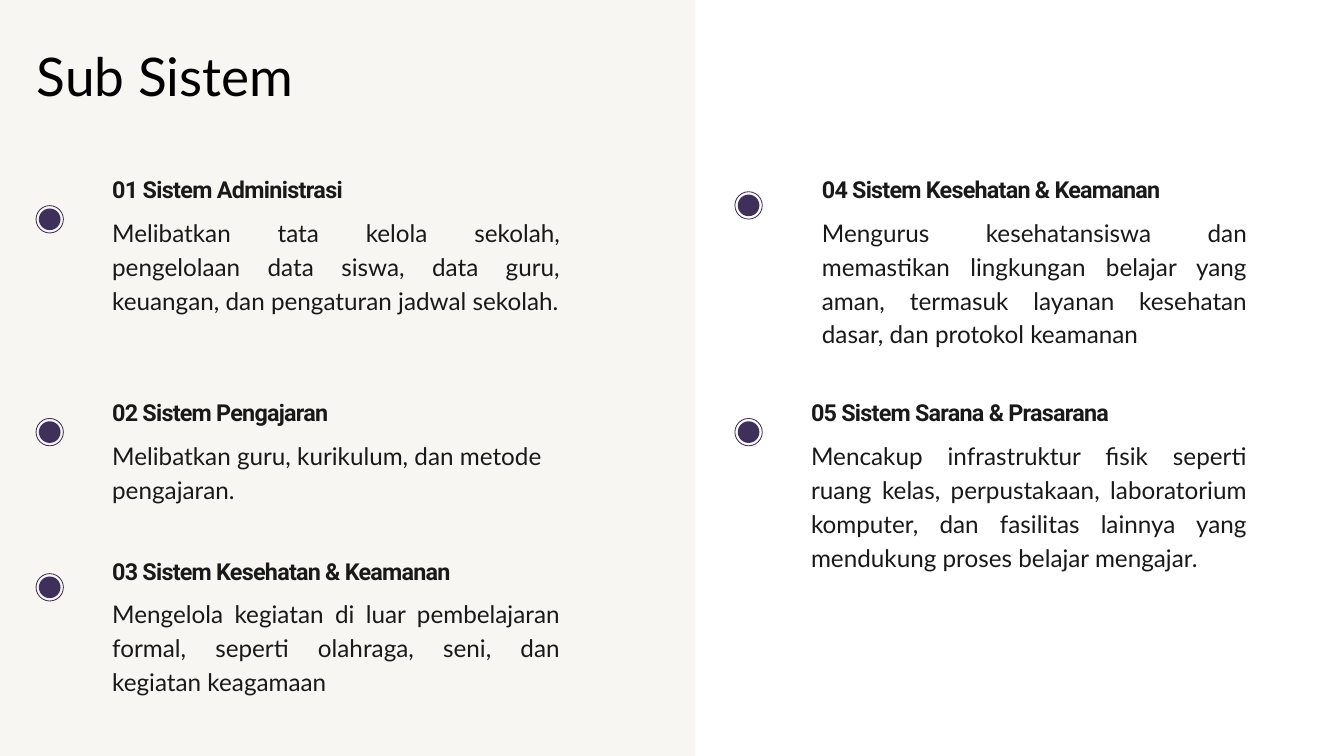
from typing import NamedTuple

from pptx import Presentation
from pptx.dml.color import RGBColor
from pptx.enum.shapes import MSO_SHAPE
from pptx.enum.text import MSO_ANCHOR, MSO_AUTO_SIZE, PP_ALIGN
from pptx.oxml.ns import qn
from pptx.util import Pt

COLORS = {"panel": "F8F6F3", "marker": "3E2F5B", "text": "191919", "title": "000000"}
SLIDE_W, SLIDE_H, PANEL_W = 1440, 810, 745.2
LEFT_DOT, RIGHT_DOT = 53.3, 802.1
DOT_SIZE, RING_SIZE = 23.2, 29.3
HEADING_H, BODY_OFFSET = 31.7, 43.2


class Section(NamedTuple):
    heading: str
    body: str
    left: float
    top: float
    width: float
    body_height: float
    dot_x: float
    dot_y: float
    align: PP_ALIGN = PP_ALIGN.JUSTIFY
    tracking: float = -0.8


class Style(NamedTuple):
    font: str
    size: float
    line: float
    color: str
    bold: bool = False


HEADING = Style("Roboto", 25, 32.5, "text", True)
BODY = Style("Lato", 26, 36.4, "text")
TITLE = Style("Lato", 57, 68.4, "title")

SECTIONS = [
    Section("01 Sistem Administrasi",
            "Melibatkan tata kelola sekolah, pengelolaan data siswa, data guru, "
            "keuangan, dan pengaturan jadwal sekolah.",
            120.2, 185, 480.2, 177.8, LEFT_DOT, 235, tracking=-0.7),
    Section("02 Sistem Pengajaran",
            "Melibatkan guru, kurikulum, dan metode pengajaran.",
            120.2, 424.1, 468, 69.8, LEFT_DOT, 463, PP_ALIGN.LEFT),
    Section("03 Sistem Kesehatan & Keamanan",
            "Mengelola kegiatan di luar pembelajaran formal, seperti olahraga, "
            "seni, dan kegiatan keagamaan",
            120.2, 594, 480.2, 105.8, LEFT_DOT, 629.3),
    Section("04 Sistem Kesehatan & Keamanan",
            "Mengurus kesehatansiswa dan memastikan lingkungan belajar yang aman, "
            "termasuk layanan kesehatan dasar, dan protokol keamanan",
            880.6, 185, 455.8, 141.8, RIGHT_DOT, 220.1),
    Section("05 Sistem Sarana & Prasarana",
            "Mencakup infrastruktur fisik seperti ruang kelas, perpustakaan, "
            "laboratorium komputer, dan fasilitas lainnya yang mendukung proses "
            "belajar mengajar.",
            869, 424.1, 467.3, 177.8, RIGHT_DOT, 463),
]


def rgb(name: str) -> RGBColor:
    return RGBColor.from_string(COLORS[name])


def write(sp, text: str, style: Style, align: PP_ALIGN = PP_ALIGN.LEFT,
          tracking: float = 0) -> None:
    tf = sp.text_frame
    tf.word_wrap = True
    tf.auto_size = MSO_AUTO_SIZE.NONE
    tf.vertical_anchor = MSO_ANCHOR.TOP
    tf.margin_left = tf.margin_right = tf.margin_top = tf.margin_bottom = 0
    p = tf.paragraphs[0]
    p.text = text
    p.alignment = align
    p.line_spacing = Pt(style.line)
    p.space_before = Pt(0)
    p.font.name = style.font
    p.font.size = Pt(style.size)
    p.font.bold = style.bold
    p.font.color.rgb = rgb(style.color)
    if tracking:
        for props in sp.element.iter(qn("a:defRPr")):
            props.set("spc", str(round(tracking * 100)))


def add_circle(slide, x: float, y: float, size: float):
    sp = slide.shapes.add_shape(MSO_SHAPE.OVAL, Pt(x - size / 2), Pt(y - size / 2),
                                Pt(size), Pt(size))
    sp.shadow.inherit = False
    return sp


def add_marker(slide, x: float, y: float) -> None:
    dot = add_circle(slide, x, y, DOT_SIZE)
    dot.fill.solid()
    dot.fill.fore_color.rgb = rgb("marker")
    dot.line.fill.background()
    ring = add_circle(slide, x, y, RING_SIZE)
    ring.fill.background()
    ring.line.color.rgb = rgb("marker")
    ring.line.width = Pt(0.9)


def add_section(slide, s: Section) -> None:
    add_marker(slide, s.dot_x, s.dot_y)
    heading = slide.shapes.add_textbox(Pt(s.left), Pt(s.top), Pt(s.width), Pt(HEADING_H))
    write(heading, s.heading, HEADING, tracking=s.tracking)
    body = slide.shapes.add_textbox(Pt(s.left), Pt(s.top + BODY_OFFSET),
                                    Pt(s.width), Pt(s.body_height))
    write(body, s.body, BODY, s.align)


def main() -> None:
    prs = Presentation()
    prs.slide_width, prs.slide_height = Pt(SLIDE_W), Pt(SLIDE_H)
    slide = prs.slides.add_slide(prs.slide_layouts[5])

    title = slide.shapes.title
    title.left, title.top, title.width, title.height = Pt(39.6), Pt(46.1), Pt(519.8), Pt(69.1)
    write(title, "Sub Sistem", TITLE)

    panel = slide.shapes.add_shape(MSO_SHAPE.RECTANGLE, 0, 0, Pt(PANEL_W), Pt(SLIDE_H))
    panel.shadow.inherit = False
    panel.fill.solid()
    panel.fill.fore_color.rgb = rgb("panel")
    panel.line.fill.background()
    title.element.addprevious(panel.element)

    for s in SECTIONS:
        add_section(slide, s)
    prs.save("out.pptx")


if __name__ == "__main__":
    main()
